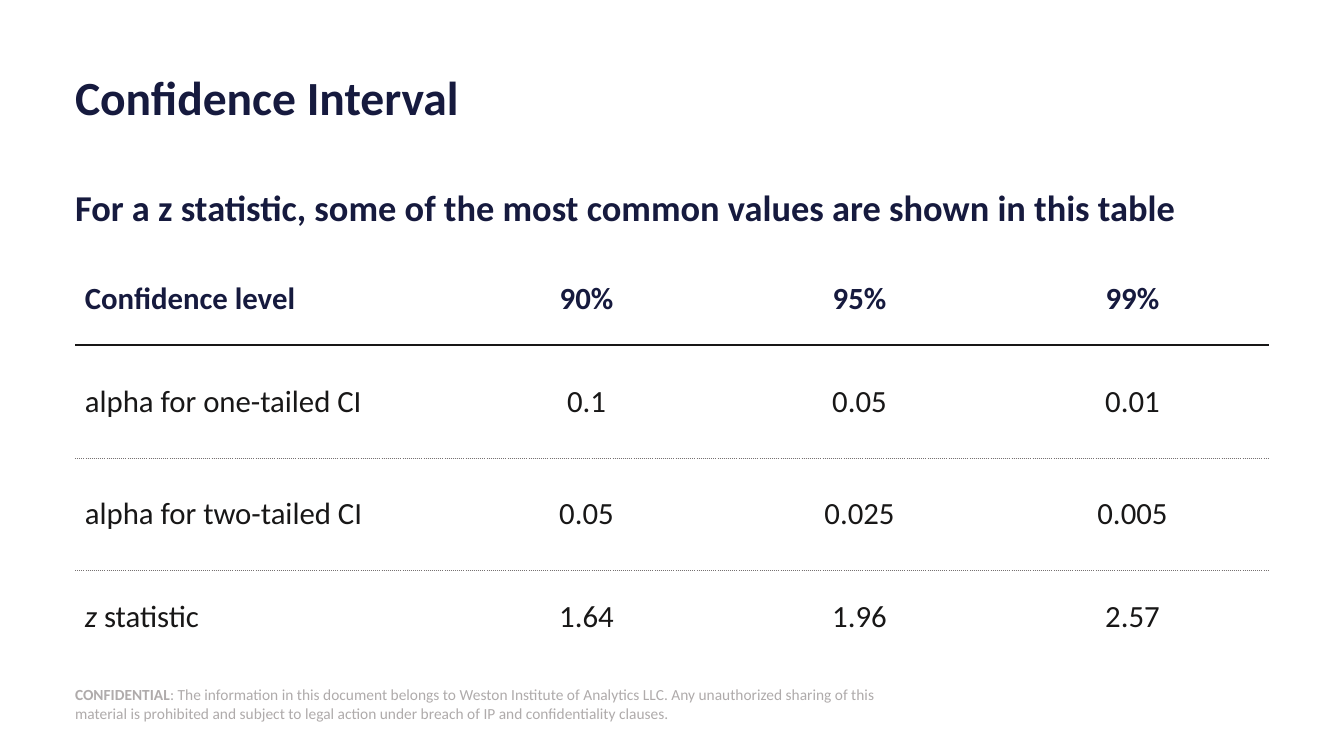
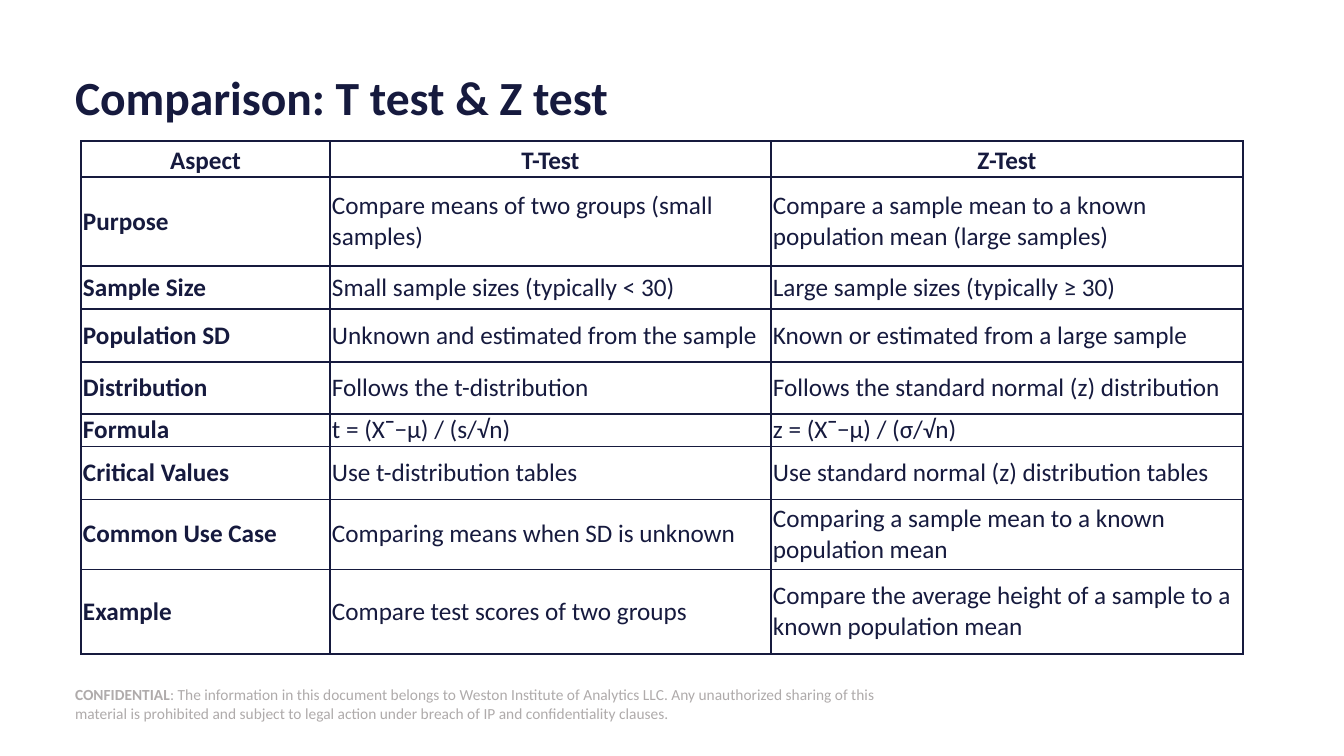
from lxml import etree
from pptx import Presentation
from pptx.dml.color import RGBColor
from pptx.enum.shapes import MSO_SHAPE
from pptx.enum.text import MSO_ANCHOR, PP_ALIGN
from pptx.oxml.ns import qn
from pptx.util import Pt

LEFT, CENTER = PP_ALIGN.LEFT, PP_ALIGN.CENTER
TOP, MIDDLE, BOTTOM = MSO_ANCHOR.TOP, MSO_ANCHOR.MIDDLE, MSO_ANCHOR.BOTTOM
RECTANGLE = MSO_SHAPE.RECTANGLE

# Shared style
FONT = "Calibri"
NAVY, BLACK, GRAY, PALE, WHITE = "161A3E", "181717", "767171", "AFABAB", "FFFFFF"
PX_PER_INCH = 100.8
MARGIN, CONTENT_WIDTH = 75, 1194

# Borders: colour, width in points, dash
HEADER_RULE = (BLACK, 1.5, "solid")
ROW_RULE = (GRAY, 0.75, "sysDot")
GRID_LINE = (NAVY, 1, "solid")

FOOTER = [
    ("CONFIDENTIAL", True),
    (": The information in this document belongs to Weston Institute of "
     "Analytics LLC. Any unauthorized sharing of this material is prohibited "
     "and subject to legal action under breach of IP and confidentiality "
     "clauses.", False),
]

CONFIDENCE_ROWS = [
    ("Confidence level", "90%", "95%", "99%"),
    ("alpha for one-tailed CI", "0.1", "0.05", "0.01"),
    ("alpha for two-tailed CI", "0.05", "0.025", "0.005"),
    ("z statistic", "1.64", "1.96", "2.57"),
]

COMPARISON_ROWS = [
    ("Aspect", "T-Test", "Z-Test"),
    ("Purpose", "Compare means of two groups (small samples)",
     "Compare a sample mean to a known population mean (large samples)"),
    ("Sample Size", "Small sample sizes (typically < 30)",
     "Large sample sizes (typically ≥ 30)"),
    ("Population SD", "Unknown and estimated from the sample",
     "Known or estimated from a large sample"),
    ("Distribution", "Follows the t-distribution",
     "Follows the standard normal (z) distribution"),
    ("Formula", "t = (Xˉ−μ) / (s/√n)", "z = (Xˉ−μ) / (σ/√n)"),
    ("Critical Values", "Use t-distribution tables",
     "Use standard normal (z) distribution tables"),
    ("Common Use Case", "Comparing means when SD is unknown",
     "Comparing a sample mean to a known population mean"),
    ("Example", "Compare test scores of two groups",
     "Compare the average height of a sample to a known population mean"),
]


def px(length):
    return round(length * 914400 / PX_PER_INCH)


def color(value):
    return RGBColor.from_string(value)


def add_run(paragraph, text, size, text_color, bold=False, italic=False):
    run = paragraph.add_run()
    run.text = text
    font = run.font
    font.name, font.size = FONT, Pt(size)
    font.bold, font.italic = bold, italic
    font.color.rgb = color(text_color)


def set_margins(target, horizontal, vertical):
    target.margin_left = target.margin_right = px(horizontal)
    target.margin_top = target.margin_bottom = px(vertical)


def prepare_text(shape, anchor):
    frame = shape.text_frame
    frame.word_wrap = True
    frame.vertical_anchor = anchor
    set_margins(frame, 0, 0)
    paragraph = frame.paragraphs[0]
    paragraph.alignment = LEFT
    return paragraph


def add_heading(slide, text, top, height, size, anchor, line_spacing=1.0):
    box = slide.shapes.add_textbox(
        px(MARGIN), px(top), px(CONTENT_WIDTH), px(height))
    paragraph = prepare_text(box, anchor)
    paragraph.line_spacing = line_spacing
    add_run(paragraph, text, size, NAVY, bold=True)


def add_footer(slide):
    band = slide.shapes.add_shape(
        RECTANGLE, px(MARGIN), px(684), px(824), px(40))
    band.shadow.inherit = False
    band.fill.solid()
    band.fill.fore_color.rgb = color(WHITE)
    band.line.fill.background()
    paragraph = prepare_text(band, MIDDLE)
    for text, bold in FOOTER:
        add_run(paragraph, text, 11, PALE, bold)


def add_slide(presentation, title):
    slide = presentation.slides.add_slide(presentation.slide_layouts[6])
    add_footer(slide)
    add_heading(slide, title, 67, 67, 34, MIDDLE, 0.9)
    return slide


def set_borders(cell, borders):
    """Draw the given sides (L, R, T, B) and clear the others."""
    properties = cell._tc.get_or_add_tcPr()
    for side in "LRTB":
        line = etree.SubElement(properties, qn(f"a:ln{side}"))
        if side not in borders:
            line.set("w", "0")
            etree.SubElement(line, qn("a:noFill"))
            continue
        line_color, width, dash = borders[side]
        line.set("w", str(Pt(width)))
        fill = etree.SubElement(line, qn("a:solidFill"))
        etree.SubElement(fill, qn("a:srgbClr"), val=line_color)
        etree.SubElement(line, qn("a:prstDash"), val=dash)


def add_table(slide, left, top, widths, heights):
    frame = slide.shapes.add_table(
        len(heights), len(widths), px(left), px(top),
        px(sum(widths)), px(sum(heights)))
    table = frame.table
    table.first_row = table.horz_banding = False
    for column, width in zip(table.columns, widths):
        column.width = px(width)
    for row, height in zip(table.rows, heights):
        row.height = px(height)
    return table


def prepare_cell(cell, borders, margins, anchor, alignment):
    set_borders(cell, borders)
    cell.fill.background()
    set_margins(cell, *margins)
    cell.vertical_anchor = anchor
    paragraph = cell.text_frame.paragraphs[0]
    paragraph.alignment = alignment
    return paragraph


def add_confidence_table(slide):
    table = add_table(slide, MARGIN, 253, [375] + [273] * 3, [92, 113, 113, 92])
    rules = [HEADER_RULE, ROW_RULE, ROW_RULE]
    for r, row in enumerate(CONFIDENCE_ROWS):
        borders = {}
        if r > 0:
            borders["T"] = rules[r - 1]
        if r < len(rules):
            borders["B"] = rules[r]
        text_color = BLACK if r else NAVY
        for c, text in enumerate(row):
            paragraph = prepare_cell(table.cell(r, c), borders, (10, 5),
                                     MIDDLE, CENTER if c else LEFT)
            # The symbol z is set in italics
            if text.startswith("z "):
                add_run(paragraph, text[:2], 22, text_color, italic=True)
                text = text[2:]
            add_run(paragraph, text, 22, text_color, bold=r == 0)


def add_comparison_table(slide):
    table = add_table(slide, 81, 141, [249, 441, 472],
                      [36, 89, 43, 53, 52, 32, 53, 70, 85])
    borders = dict.fromkeys("LRTB", GRID_LINE)
    for r, row in enumerate(COMPARISON_ROWS):
        anchor, alignment = (MIDDLE, LEFT) if r else (BOTTOM, CENTER)
        for c, text in enumerate(row):
            paragraph = prepare_cell(table.cell(r, c), borders, (2, 1),
                                     anchor, alignment)
            add_run(paragraph, text, 18, NAVY, bold=r == 0 or c == 0)


def main():
    presentation = Presentation()
    presentation.slide_width = px(1344)
    presentation.slide_height = px(756)

    # Common z values
    slide = add_slide(presentation, "Confidence Interval")
    add_heading(slide, "For a z statistic, some of the most common values "
                "are shown in this table", 185, 44, 26, TOP)
    add_confidence_table(slide)

    # T test against Z test
    slide = add_slide(presentation, "Comparison: T test & Z test")
    add_comparison_table(slide)

    presentation.save("out.pptx")


if __name__ == "__main__":
    main()
